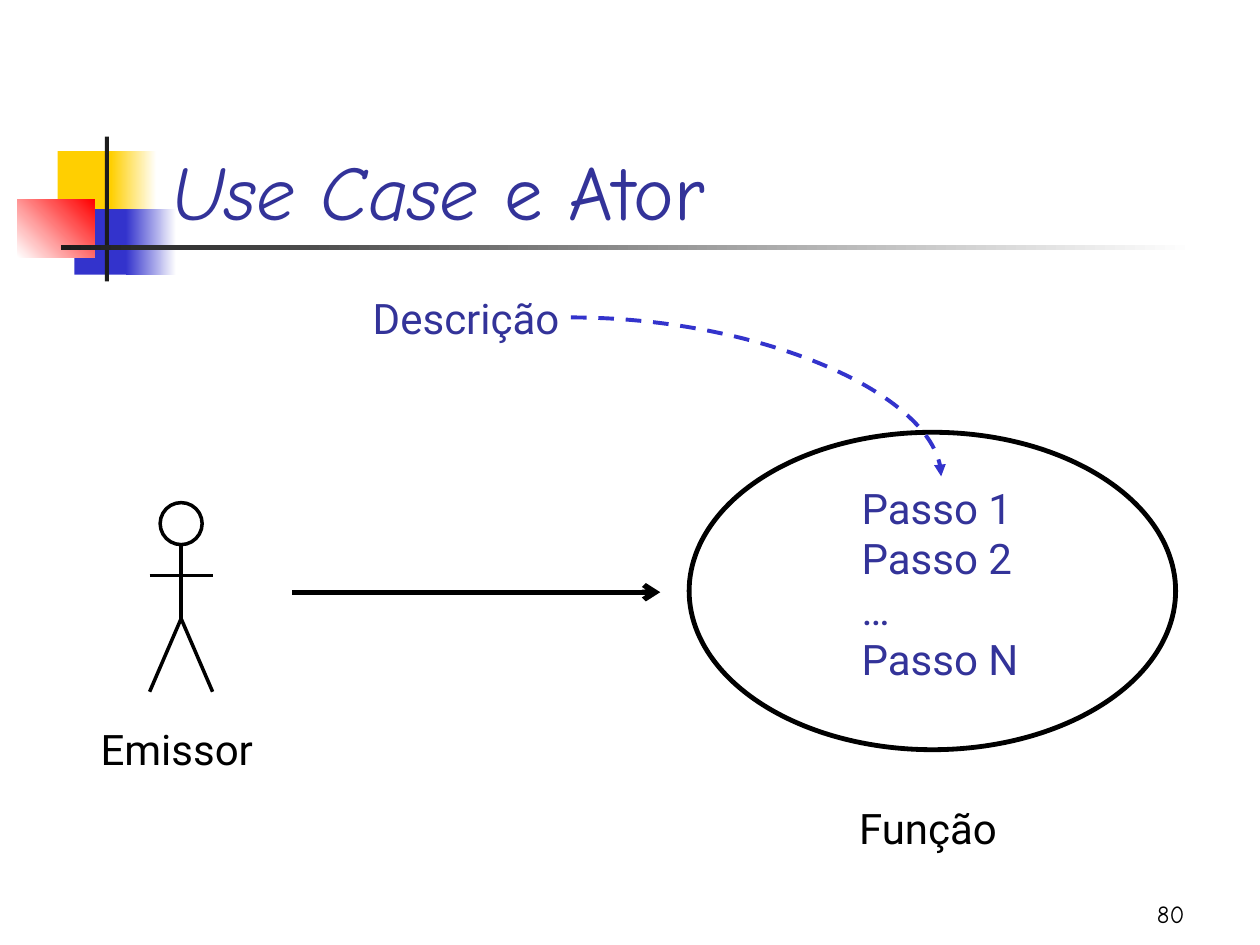
"""Build the slide that links an actor to a use case and its description."""
from dataclasses import dataclass
from typing import Any, Optional

import pptx
from lxml import etree
from pptx import util as u
from pptx.dml.color import RGBColor
from pptx.enum import dml, shapes, text
from pptx.oxml import ns

BLACK = RGBColor(0x00, 0x00, 0x00)
WHITE = RGBColor(0xFF, 0xFF, 0xFF)
CHARCOAL = RGBColor(0x1C, 0x1C, 0x1C)
YELLOW = RGBColor(0xFF, 0xCF, 0x01)
RED = RGBColor(0xFF, 0x00, 0x00)
BLUE = RGBColor(0x33, 0x33, 0xCC)
INDIGO = RGBColor(0x33, 0x33, 0x99)

HEADING_FONT = "Comic Neue"
BODY_FONT = "Roboto"
ACTOR_X = 103.5
HIP_Y = 353.5
ARM_SPAN = 18


@dataclass(frozen=True)
class Area:
    left: float
    top: float
    width: float
    height: float

    def points(self) -> tuple:
        return tuple(map(u.Pt, (self.left, self.top, self.width, self.height)))


@dataclass(frozen=True)
class Block:
    area: Area
    start: RGBColor
    end: Optional[RGBColor] = None
    angle: float = 0


@dataclass(frozen=True)
class Label:
    area: Area
    lines: tuple
    size: float = 24
    font: str = BODY_FONT
    color: RGBColor = BLACK
    align: Any = text.PP_ALIGN.LEFT
    anchor: Any = text.MSO_ANCHOR.TOP
    wrap: bool = False


@dataclass(frozen=True)
class Stroke:
    start: tuple
    end: tuple
    width: float = 2
    color: RGBColor = BLACK
    head: Optional[str] = None
    dash: Any = None
    curved: bool = False


BLOCKS = (
    Block(Area(33, 86.4, 34.6, 37.5), YELLOW),
    Block(Area(63.4, 86.4, 26, 37.5), YELLOW, WHITE),
    Block(Area(42.5, 119.5, 33, 37.5), BLUE),
    Block(Area(72, 119.5, 28.8, 37.5), BLUE, WHITE),
    Block(Area(10, 113.8, 44, 33.1), WHITE, RED, 45),
    Block(Area(59.9, 78, 2.4, 82.8), CHARCOAL),
    Block(Area(34.8, 140.2, 648, 2.4), CHARCOAL, WHITE),
)

LABELS = (
    Label(Area(534, 498, 150, 36), ((("80", False),),), 14, HEADING_FONT,
          align=text.PP_ALIGN.RIGHT, anchor=text.MSO_ANCHOR.BOTTOM, wrap=True),
    Label(Area(90.7, 48.2, 613.4, 90), ((("Use Case", True), (" e Ator", False)),),
          44, HEADING_FONT, INDIGO, anchor=text.MSO_ANCHOR.BOTTOM, wrap=True),
    Label(Area(482.4, 455, 95.8, 36), ((("Função", False),),),
          align=text.PP_ALIGN.CENTER),
    Label(Area(50.4, 409.7, 103.7, 36), ((("Emissor", False),),)),
    Label(Area(485.3, 272.2, 104.4, 122.4),
          tuple(((step, False),) for step in ("Passo 1", "Passo 2", "…", "Passo N")),
          color=INDIGO),
    Label(Area(205.9, 163.4, 123.8, 36), ((("Descrição", False),),), color=INDIGO),
)

LIMBS = (
    Stroke((ACTOR_X, HIP_Y), (ACTOR_X, 311)),
    *(Stroke((ACTOR_X + side * ARM_SPAN, 395.3), (ACTOR_X, HIP_Y)) for side in (-1, 1)),
    Stroke((ACTOR_X - ARM_SPAN, 329), (ACTOR_X + ARM_SPAN, 329)),
)

ARROWS = (
    Stroke((167, 338.4), (377.3, 338.4), 3, head="arrow"),
    Stroke((326.2, 181.4), (537.8, 272.2), 2.25, BLUE, "triangle",
           dml.MSO_LINE.DASH, True),
)


def apply_format(target: Any, values: dict) -> None:
    for name, value in values.items():
        setattr(target, name, value)


def draw_block(page: Any, block: Block) -> None:
    box = page.shapes.add_shape(shapes.MSO_SHAPE.RECTANGLE, *block.area.points())
    box.shadow.inherit = False
    box.line.fill.background()
    if block.end is None:
        box.fill.solid()
        box.fill.fore_color.rgb = block.start
        return
    box.fill.gradient()
    box.fill.gradient_angle = block.angle
    for stop, color in zip(box.fill.gradient_stops, (block.start, block.end)):
        stop.color.rgb = color


def draw_ellipse(parent: Any, area: Area, width: float) -> None:
    oval = parent.shapes.add_shape(shapes.MSO_SHAPE.OVAL, *area.points())
    oval.shadow.inherit = False
    oval.fill.background()
    oval.line.color.rgb = BLACK
    oval.line.width = u.Pt(width)


def draw_label(page: Any, label: Label) -> None:
    box = page.shapes.add_textbox(*label.area.points())
    frame = box.text_frame
    apply_format(frame, {"word_wrap": label.wrap, "vertical_anchor": label.anchor})
    if not label.wrap:
        frame.auto_size = text.MSO_AUTO_SIZE.SHAPE_TO_FIT_TEXT
    for index, line in enumerate(label.lines):
        para = frame.add_paragraph() if index else frame.paragraphs[0]
        para.alignment = label.align
        for words, italic in line:
            span = para.add_run()
            span.text = words
            apply_format(span.font, {"name": label.font, "size": u.Pt(label.size),
                                     "italic": italic})
            span.font.color.rgb = label.color


def draw_stroke(parent: Any, stroke: Stroke) -> None:
    kind = shapes.MSO_CONNECTOR.CURVE if stroke.curved else shapes.MSO_CONNECTOR.STRAIGHT
    connector = parent.shapes.add_connector(
        kind, *map(u.Pt, (*stroke.start, *stroke.end)))
    connector.line.color.rgb = stroke.color
    apply_format(connector.line, {"width": u.Pt(stroke.width),
                                  "dash_style": stroke.dash})
    properties = connector._element.spPr
    if stroke.curved:
        properties.find(ns.qn("a:prstGeom")).set("prst", "curvedConnector2")
    if stroke.head:
        outline = properties.find(ns.qn("a:ln"))
        etree.SubElement(outline, ns.qn("a:tailEnd"), type=stroke.head)
    etree.SubElement(properties, ns.qn("a:effectLst"))


def main() -> None:
    deck = pptx.Presentation()
    apply_format(deck, {"slide_width": u.Pt(720), "slide_height": u.Pt(540)})
    page = deck.slides.add_slide(deck.slide_layouts[6])
    for block in BLOCKS:
        draw_block(page, block)
    draw_ellipse(page, Area(393.8, 247, 278, 181.4), 2.75)
    actor = page.shapes.add_group_shape()
    draw_ellipse(actor, Area(ACTOR_X - 12, 287.2, 24, 24), 2)
    for limb in LIMBS:
        draw_stroke(actor, limb)
    for label in LABELS:
        draw_label(page, label)
    for arrow in ARROWS:
        draw_stroke(page, arrow)
    deck.save("out.pptx")


if __name__ == "__main__":
    main()
